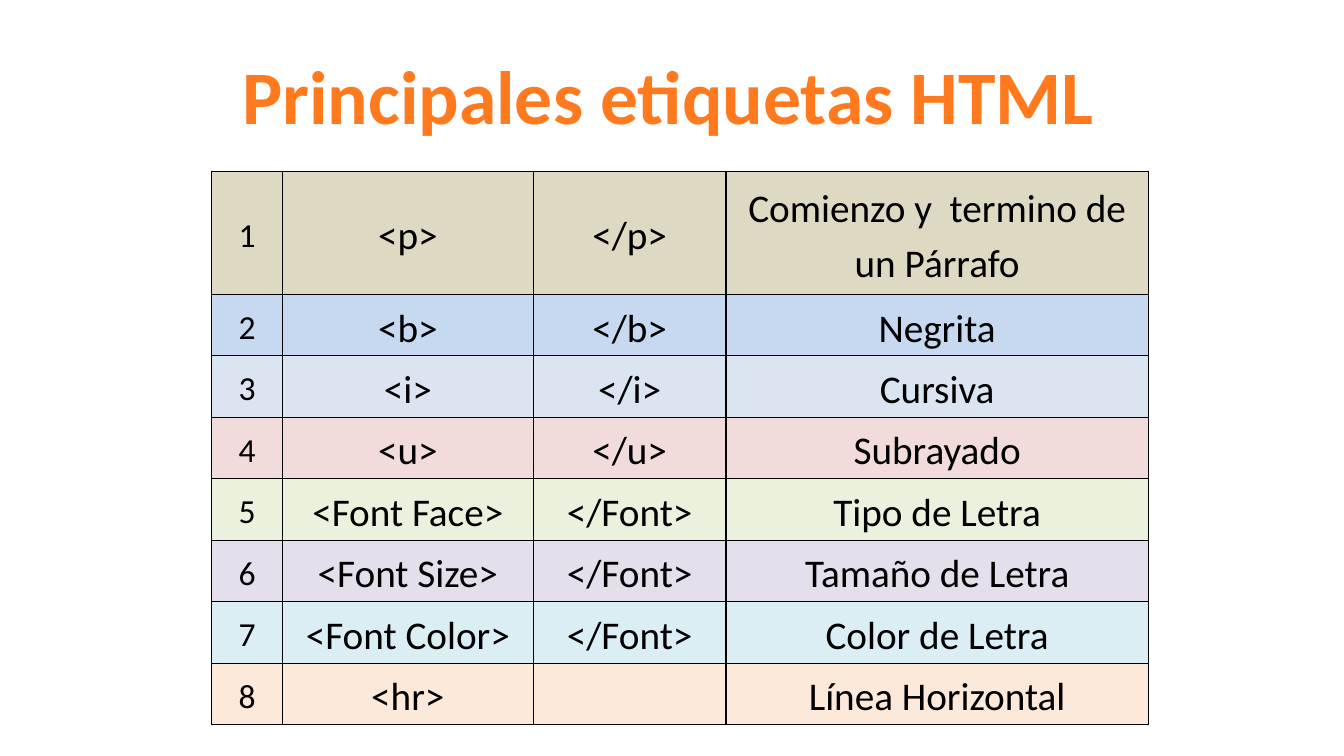
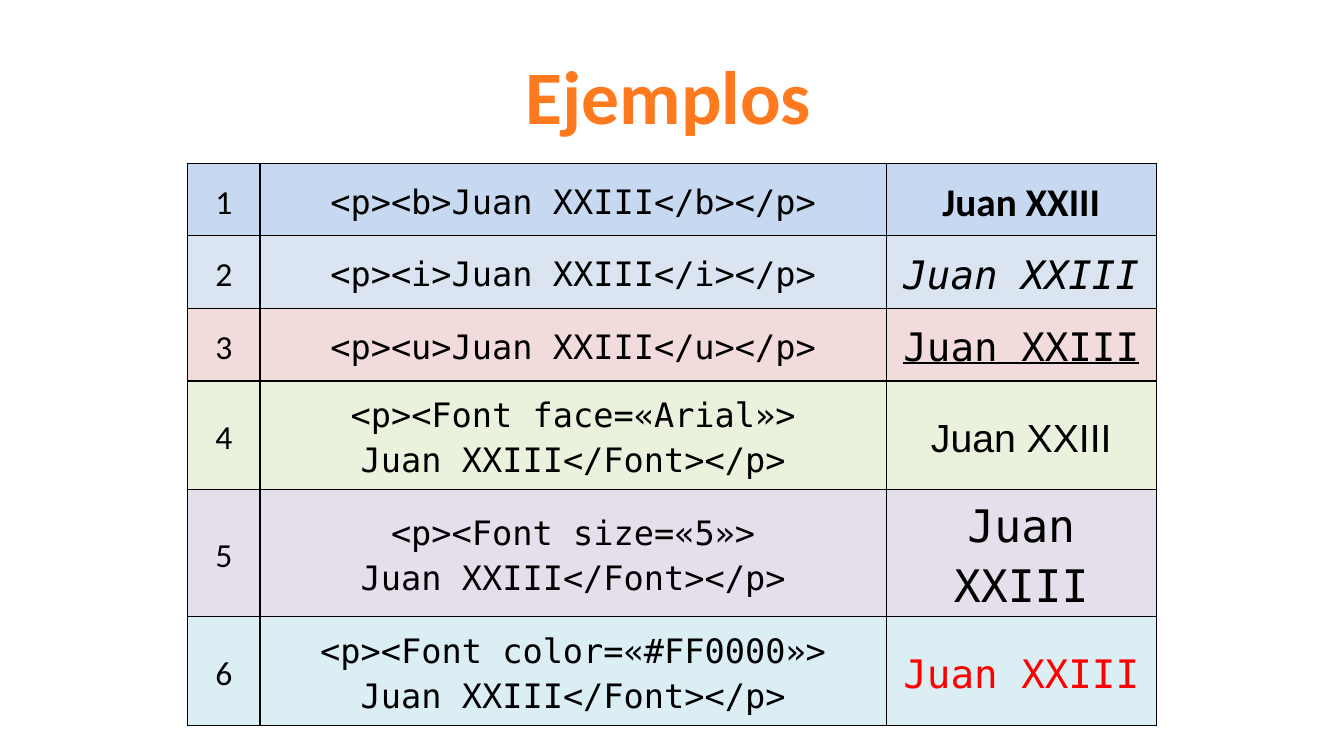
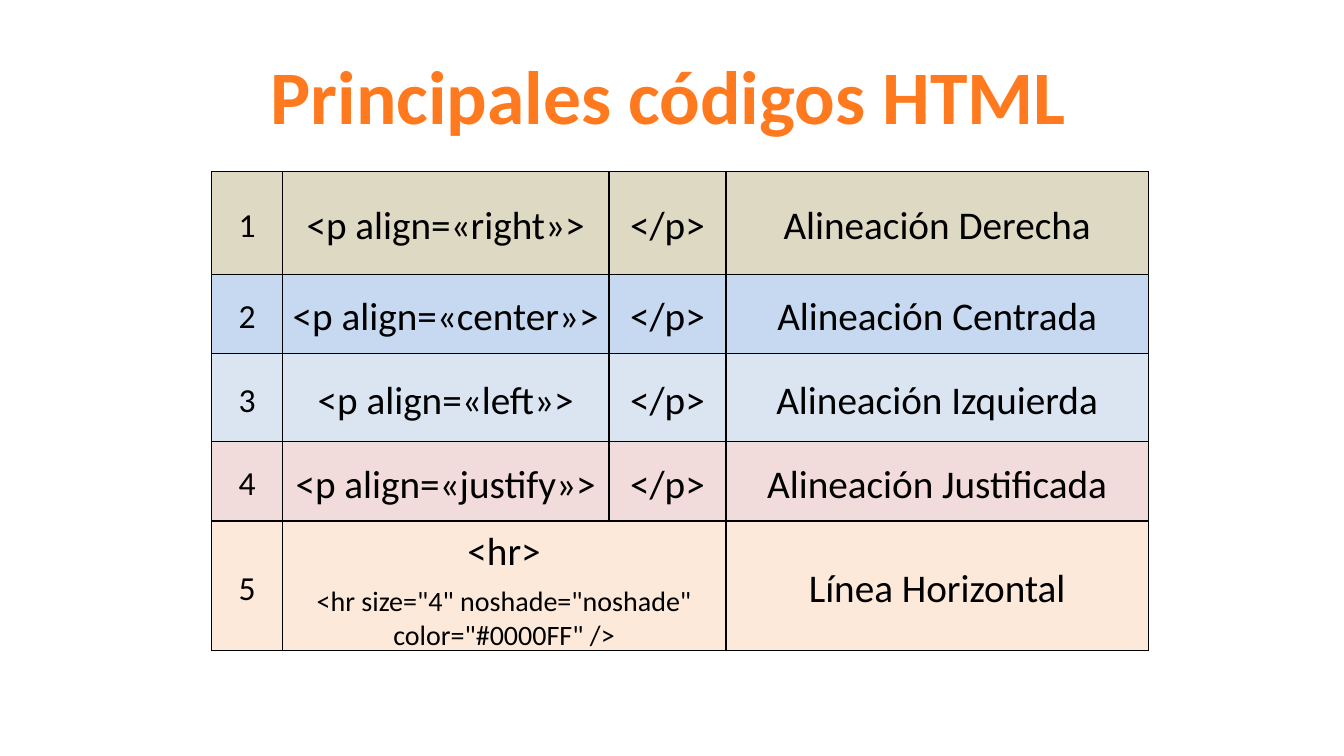
from dataclasses import dataclass, replace
from typing import Optional

from lxml.etree import SubElement
from pptx import Presentation
from pptx.dml.color import RGBColor
from pptx.enum.text import MSO_ANCHOR, MSO_AUTO_SIZE, PP_ALIGN
from pptx.oxml.ns import qn
from pptx.util import Inches, Pt

SANS = "Calibri"
MONO = "DejaVu Sans Mono"
ORANGE = "FF7A1F"
BLACK = "000000"
RED = "FF0000"
SAND, BLUE, ICE, ROSE = "DDD9C3", "C6D9F1", "DBE5F1", "F2DBDB"
GREEN, LILAC, AQUA, PEACH = "EAF1DD", "E5DFEC", "DAEEF3", "FDE9D9"
CENTER_X = 6.63


@dataclass
class Entry:
    """Hold one cell paragraph and its format."""
    text: str
    size: int = 28
    font: str = SANS
    bold: bool = False
    italic: bool = False
    underline: bool = False
    color: str = BLACK
    gap: int = 6
    line: Optional[float] = 1.15


def rgb(value):
    """Turn a hex string into a colour."""
    return RGBColor.from_string(value)


def tight(text):
    """Return an entry without space around it."""
    return Entry(text, gap=0)


def code(text):
    """Return a line of source code."""
    return Entry(text, size=24, font=MONO)


def sample(**style):
    """Return the example name in a given style."""
    return replace(Entry("Juan XXIII", font=MONO), **style)


def write_paragraph(paragraph, entry):
    """Fill and format one paragraph."""
    paragraph.text = entry.text
    paragraph.alignment = PP_ALIGN.CENTER
    paragraph.line_spacing = entry.line
    paragraph.space_before = paragraph.space_after = Pt(entry.gap)
    for run in paragraph.runs:
        font = run.font
        font.name, font.size = entry.font, Pt(entry.size)
        font.bold, font.italic = entry.bold, entry.italic
        font.underline = entry.underline
        font.color.rgb = rgb(entry.color)


def add_borders(cell):
    """Draw a thin black line on each side of a cell."""
    properties = cell._tc.get_or_add_tcPr()
    for side in ("a:lnL", "a:lnR", "a:lnT", "a:lnB"):
        line = SubElement(properties, qn(side), w=str(Pt(1)))
        fill = SubElement(line, qn("a:solidFill"))
        SubElement(fill, qn("a:srgbClr"), val=BLACK)


def format_cell(cell, fill):
    """Set the borders, fill, margins and anchor of a cell."""
    add_borders(cell)
    cell.fill.solid()
    cell.fill.fore_color.rgb = rgb(fill)
    cell.margin_left = cell.margin_right = Inches(0.07)
    cell.margin_top = cell.margin_bottom = 0
    cell.vertical_anchor = MSO_ANCHOR.MIDDLE


def write_cell(cell, content):
    """Write a string, an entry or a list of entries."""
    entries = content if isinstance(content, list) else [content]
    frame = cell.text_frame
    for index, item in enumerate(entries):
        paragraph = frame.add_paragraph() if index else frame.paragraphs[0]
        write_paragraph(paragraph, Entry(item) if isinstance(item, str) else item)


def add_numbered_table(slide, left, top, widths, rows):
    """Add a table whose rows are (fill, height, contents) and get a number."""
    heights = [height for _, height, _ in rows]
    table = slide.shapes.add_table(
        len(rows), len(widths), Inches(left), Inches(top),
        Inches(sum(widths)), Inches(sum(heights))).table
    table.first_row = table.horz_banding = False
    for column, width in zip(table.columns, widths):
        column.width = Inches(width)
    for index, (fill, height, contents) in enumerate(rows):
        table.rows[index].height = Inches(height)
        first_gap = getattr(contents[-1], "gap", 6)
        number = Entry(str(index + 1), size=24, gap=first_gap)
        for column, content in enumerate([number, *contents]):
            cell = table.cell(index, column)
            format_cell(cell, fill)
            if content:
                write_cell(cell, content)
    return table


def add_title(slide, text, width):
    """Add the centred orange title."""
    box = slide.shapes.add_textbox(
        Inches(CENTER_X - width / 2), Inches(0.44), Inches(width), Inches(1.01))
    frame = box.text_frame
    frame.word_wrap = False
    frame.auto_size = MSO_AUTO_SIZE.SHAPE_TO_FIT_TEXT
    write_paragraph(frame.paragraphs[0], Entry(
        text, size=54, bold=True, color=ORANGE, gap=0, line=None))


def build_tags(slide):
    """Build the table of main tags."""
    tags = [
        (BLUE, "<b>", "</b>", "Negrita"),
        (ICE, "<i>", "</i>", "Cursiva"),
        (ROSE, "<u>", "</u>", "Subrayado"),
        (GREEN, "<Font Face>", "</Font>", "Tipo de Letra"),
        (LILAC, "<Font Size>", "</Font>", "Tamaño de Letra"),
        (AQUA, "<Font Color>", "</Font>", "Color de Letra"),
        (PEACH, "<hr>", None, "Línea Horizontal"),
    ]
    opening = [tight(text) for text in
               ("<p>", "</p>", "Comienzo y  termino de un Párrafo")]
    rows = [(SAND, 1.22, opening)]
    rows += [(fill, 0.61, contents) for fill, *contents in tags]
    add_numbered_table(slide, 2.1, 1.7, [0.7, 2.49, 1.91, 4.19], rows)
    add_title(slide, "Principales etiquetas HTML", 8.74)


def build_examples(slide):
    """Build the table of code and its result."""
    examples = [
        (BLUE, 0.72, "<p><b>Juan XXIII</b></p>", sample(font=SANS, bold=True)),
        (ICE, 0.72, "<p><i>Juan XXIII</i></p>", sample(italic=True)),
        (ROSE, 0.72, "<p><u>Juan XXIII</u></p>", sample(underline=True)),
        (GREEN, 1.08, "<p><Font face=«Arial»>\vJuan XXIII</Font></p>",
         sample(font="Arial")),
        (LILAC, 1.26, "<p><Font size=«5»>\vJuan XXIII</Font></p>",
         sample(size=32)),
        (AQUA, 1.08, "<p><Font color=«#FF0000»>\vJuan XXIII</Font></p>",
         sample(color=RED)),
    ]
    rows = [(fill, height, [code(source), result])
            for fill, height, source, result in examples]
    add_numbered_table(slide, 1.86, 1.62, [0.72, 6.21, 2.68], rows)
    add_title(slide, "Ejemplos", 3.06)


def build_alignments(slide):
    """Build the table of alignment codes."""
    alignments = [
        (BLUE, 0.79, "center", "Centrada"),
        (ICE, 0.87, "left", "Izquierda"),
        (ROSE, 0.79, "justify", "Justificada"),
    ]
    opening = [tight(text) for text in
               ("<p align=«right»>", "</p>", "Alineación Derecha")]
    rows = [(SAND, 1.02, opening)]
    rows += [(fill, height,
              [tight(f"<p align=«{value}»>"), "</p>", f"Alineación {name}"])
             for fill, height, value, name in alignments]
    rule_code = Entry('<hr size="4" noshade="noshade" color="#0000FF" />',
                      size=20, gap=0, line=None)
    rows.append((PEACH, 1.28,
                 [[Entry("<hr>"), rule_code], None, "Línea Horizontal"]))
    table = add_numbered_table(slide, 2.1, 1.7, [0.7, 3.24, 1.16, 4.19], rows)
    table.cell(4, 1).merge(table.cell(4, 2))
    add_title(slide, "Principales códigos HTML", 8.17)


def main():
    """Build and save the presentation."""
    presentation = Presentation()
    presentation.slide_width = Inches(13.33)
    presentation.slide_height = Inches(7.5)
    for build in (build_tags, build_examples, build_alignments):
        build(presentation.slides.add_slide(presentation.slide_layouts[6]))
    presentation.save("out.pptx")


main()
